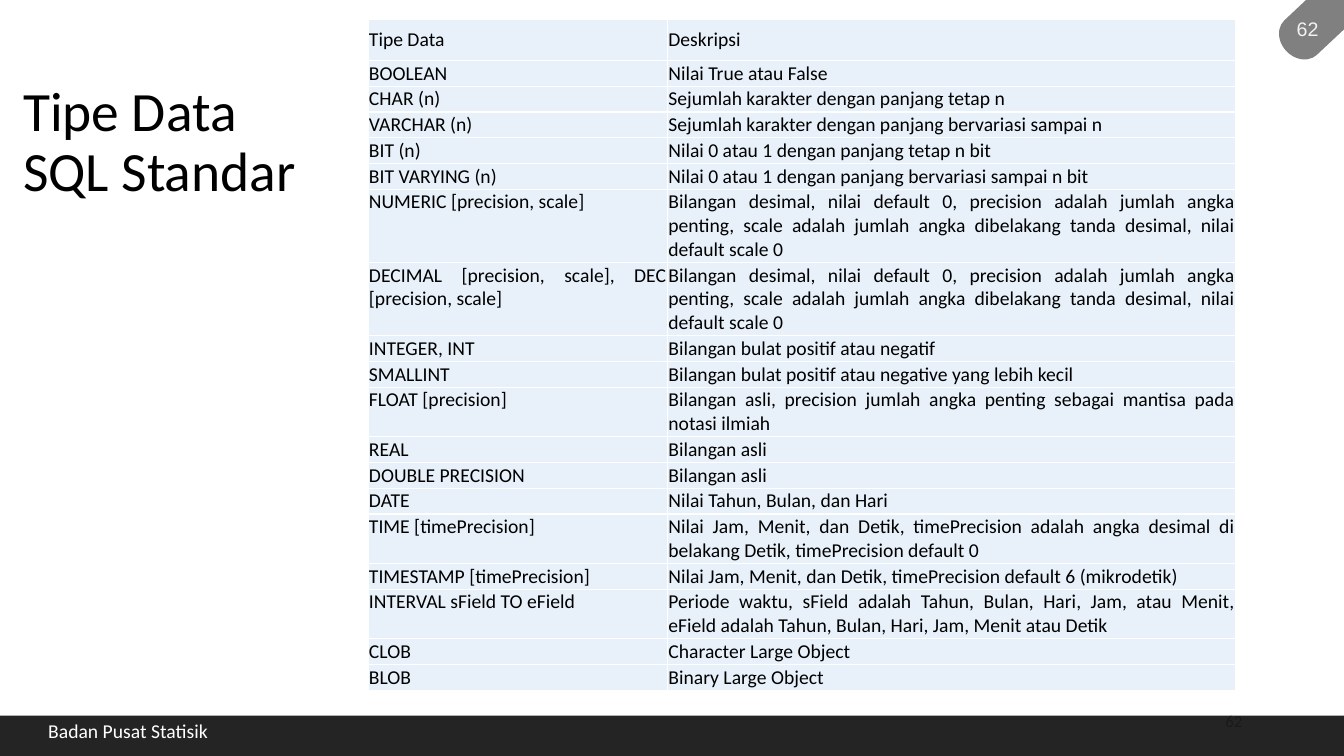
import math
import lxml.etree
import pptx
import pptx.dml.color
import pptx.enum.shapes
import pptx.enum.text
import pptx.oxml.ns
import pptx.util

RGB = pptx.dml.color.RGBColor
ALIGN = pptx.enum.text.PP_ALIGN
ANCHOR = pptx.enum.text.MSO_ANCHOR
KIND = pptx.enum.shapes.MSO_SHAPE

BLACK = RGB(0x00, 0x00, 0x00)
WHITE = RGB(0xFF, 0xFF, 0xFF)
PALE = RGB(0xE8, 0xF1, 0xFA)
DARK = RGB(0x0D, 0x0D, 0x0D)
GRAY = RGB(0x80, 0x80, 0x80)
MIST = RGB(0x8C, 0x8C, 0x8C)
LIGHT = RGB(0xF2, 0xF2, 0xF2)

WIDTH = pptx.util.Inches(13.33)
HEIGHT = pptx.util.Inches(7.5)
LINE = 3.14
PAD = 0.27
CHARS = 66
DECIMAL = (
    "Bilangan desimal, nilai default 0, precision adalah jumlah angka penting, "
    "scale adalah jumlah angka dibelakang tanda desimal, nilai default scale 0"
)
ROWS = [
    ("Tipe Data", "Deskripsi"),
    ("BOOLEAN", "Nilai True atau False"),
    ("CHAR (n)", "Sejumlah karakter dengan panjang tetap n"),
    ("VARCHAR (n)", "Sejumlah karakter dengan panjang bervariasi sampai n"),
    ("BIT (n)", "Nilai 0 atau 1 dengan panjang tetap n bit"),
    ("BIT VARYING (n)", "Nilai 0 atau 1 dengan panjang bervariasi sampai n bit"),
    ("NUMERIC [precision, scale]", DECIMAL),
    ("DECIMAL [precision, scale], DEC [precision, scale]", DECIMAL),
    ("INTEGER, INT", "Bilangan bulat positif atau negatif"),
    ("SMALLINT", "Bilangan bulat positif atau negative yang lebih kecil"),
    ("FLOAT [precision]",
     "Bilangan asli, precision jumlah angka penting sebagai mantisa pada notasi ilmiah"),
    ("REAL", "Bilangan asli"),
    ("DOUBLE PRECISION", "Bilangan asli"),
    ("DATE", "Nilai Tahun, Bulan, dan Hari"),
    ("TIME [timePrecision]",
     "Nilai Jam, Menit, dan Detik, timePrecision adalah angka desimal "
     "di belakang Detik, timePrecision default 0"),
    ("TIMESTAMP [timePrecision]",
     "Nilai Jam, Menit, dan Detik, timePrecision default 6 (mikrodetik)"),
    ("INTERVAL sField TO eField",
     "Periode waktu, sField adalah Tahun, Bulan, Hari, Jam, atau Menit, "
     "eField adalah Tahun, Bulan, Hari, Jam, Menit atau Detik"),
    ("CLOB", "Character Large Object"),
    ("BLOB", "Binary Large Object"),
]


def across(share):
    return round(WIDTH * share / 100)


def down(share):
    return round(HEIGHT * share / 100)


def place(left, top, width, height):
    return across(left), down(top), across(width), down(height)


def write(frame, text, size=14, color=BLACK, face="Calibri", align=ALIGN.LEFT,
          anchor=ANCHOR.TOP, space=None, wrap=True):
    frame.word_wrap = wrap
    frame.vertical_anchor = anchor
    para = frame.paragraphs[0]
    para.alignment = align
    para.line_spacing = space
    run = para.add_run()
    run.text = text
    run.font.size = pptx.util.Pt(size)
    run.font.name = face
    run.font.color.rgb = color


def label(shapes, area, text, **form):
    box = shapes.add_textbox(*place(*area))
    write(box.text_frame, text, **form)


def block(shapes, kind, area, color, turn=0, alpha=100):
    shape = shapes.add_shape(kind, *place(*area))
    shape.shadow.inherit = False
    shape.rotation = turn
    shape.fill.solid()
    shape.fill.fore_color.rgb = color
    shape.line.fill.background()
    if alpha < 100:
        tint = shape.fill._xPr.find(".//" + pptx.oxml.ns.qn("a:srgbClr"))
        lxml.etree.SubElement(tint, pptx.oxml.ns.qn("a:alpha"), val=str(alpha * 1000))


def edge(cell, color):
    props = cell._tc.get_or_add_tcPr()
    for side in ("lnL", "lnR", "lnT", "lnB"):
        line = lxml.etree.SubElement(
            props, pptx.oxml.ns.qn("a:" + side), w=str(pptx.util.Pt(1)))
        fill = lxml.etree.SubElement(line, pptx.oxml.ns.qn("a:solidFill"))
        lxml.etree.SubElement(fill, pptx.oxml.ns.qn("a:srgbClr"), val=str(color))


def style(cell, text, anchor):
    edge(cell, WHITE)
    cell.fill.solid()
    cell.fill.fore_color.rgb = PALE
    inset = pptx.util.Inches(0.01)
    cell.margin_left = cell.margin_right = inset
    cell.margin_top = cell.margin_bottom = inset
    write(cell.text_frame, text, align=ALIGN.JUSTIFY)
    cell.vertical_anchor = anchor


def grid(shapes, area, rows, cols, head):
    table = shapes.add_table(len(rows), len(cols), *place(*area)).table
    table.first_row = False
    table.horz_banding = False
    for col, share in zip(table.columns, cols):
        col.width = across(share)
    for index, pair in enumerate(rows):
        lines = math.ceil(len(pair[1]) / CHARS)
        table.rows[index].height = down(lines * LINE + PAD if index else head)
        for col, text in enumerate(pair):
            middle = col == 1 or index == 0
            style(table.cell(index, col), text, ANCHOR.MIDDLE if middle else ANCHOR.TOP)


def badge(shapes, text):
    group = shapes.add_group_shape().shapes
    block(group, KIND.FLOWCHART_STORED_DATA, (94.52, -1.73, 8.78, 6.27), GRAY, turn=316.8)
    label(group, (95.57, 1.6, 3.45, 4.53), text,
          color=LIGHT, face="Arial", align=ALIGN.CENTER)


def main():
    deck = pptx.Presentation()
    deck.slide_width = WIDTH
    deck.slide_height = HEIGHT
    shapes = deck.slides.add_slide(deck.slide_layouts[6]).shapes
    label(shapes, (0.98, 14.27, 24.23, 9.47), "Tipe Data SQL Standar",
          size=39.6, anchor=ANCHOR.MIDDLE, space=0.9)
    label(shapes, (70.67, 92.67, 22.5, 5.33), "62",
          size=12, color=MIST, align=ALIGN.RIGHT, anchor=ANCHOR.MIDDLE)
    grid(shapes, (27.38, 2.53, 64.59, 88.27), ROWS, (22.28, 42.31), 5.47)
    block(shapes, KIND.RECTANGLE, (0, 94.67, 100, 5.33), DARK, alpha=90)
    label(shapes, (2.85, 94.8, 13.58, 4.13), "Badan Pusat Statisik",
          color=WHITE, space=0.9, wrap=False)
    badge(shapes, "62")
    deck.save("out.pptx")


if __name__ == "__main__":
    main()
